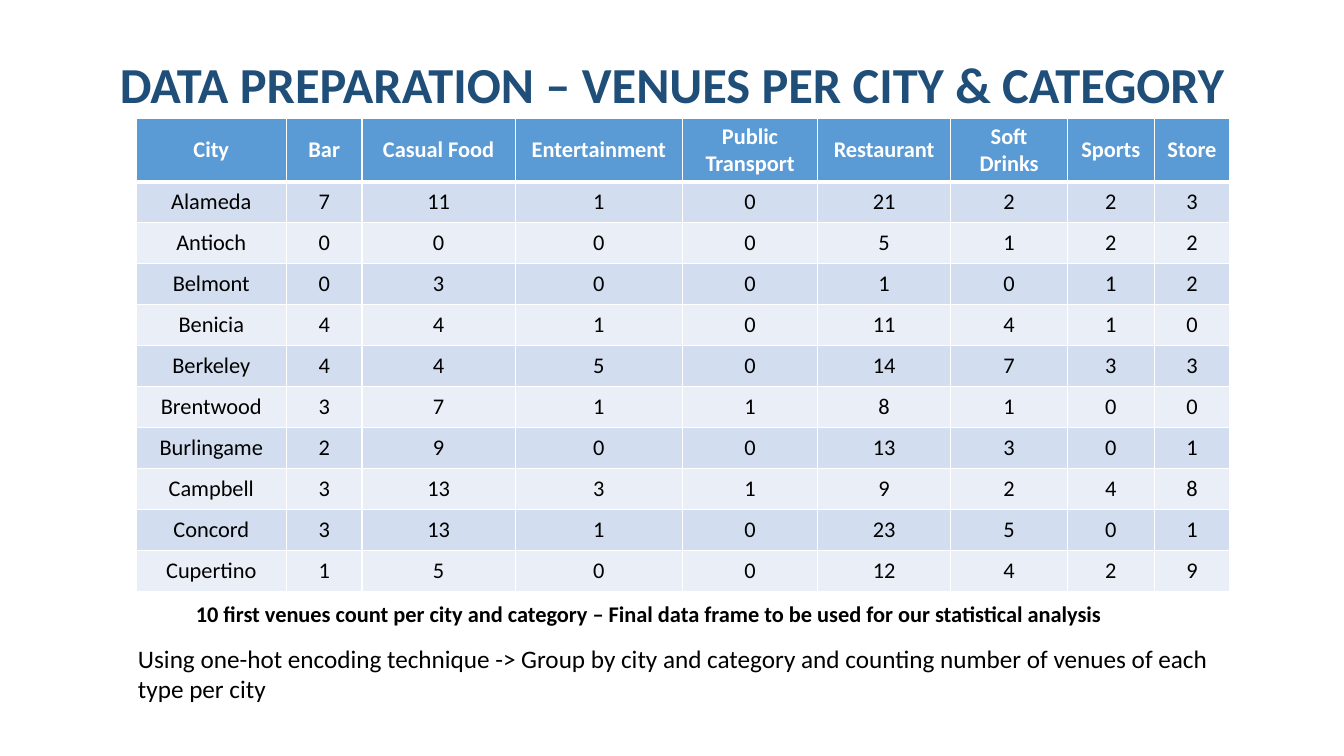
from lxml import etree
from pptx import Presentation
from pptx.dml.color import RGBColor
from pptx.enum.text import MSO_ANCHOR, PP_ALIGN
from pptx.oxml.ns import qn
from pptx.util import Inches, Pt

CENTER, LEFT = PP_ALIGN.CENTER, PP_ALIGN.LEFT
MIDDLE, TOP = MSO_ANCHOR.MIDDLE, MSO_ANCHOR.TOP

HEADERS = ["City", "Bar", "Casual Food", "Entertainment", "Public Transport",
           "Restaurant", "Soft Drinks", "Sports", "Store"]
VENUES = {
    "Alameda": [7, 11, 1, 0, 21, 2, 2, 3],
    "Antioch": [0, 0, 0, 0, 5, 1, 2, 2],
    "Belmont": [0, 3, 0, 0, 1, 0, 1, 2],
    "Benicia": [4, 4, 1, 0, 11, 4, 1, 0],
    "Berkeley": [4, 4, 5, 0, 14, 7, 3, 3],
    "Brentwood": [3, 7, 1, 1, 8, 1, 0, 0],
    "Burlingame": [2, 9, 0, 0, 13, 3, 0, 1],
    "Campbell": [3, 13, 3, 1, 9, 2, 4, 8],
    "Concord": [3, 13, 1, 0, 23, 5, 0, 1],
    "Cupertino": [1, 5, 0, 0, 12, 4, 2, 9],
}
COLUMN_WIDTHS = [11.18, 5.63, 11.4, 12.45, 10.05, 9.9, 8.7, 6.45, 5.63]
HEADER_HEIGHT, ROW_HEIGHT = 8.2, 5.42


def rgb(value):
    """Turn a hex string into a colour."""
    return RGBColor.from_string(value)


def write(tf, text, size=16, color="000000", bold=False, align=CENTER,
          spacing=1.0, font="Calibri"):
    """Write one formatted paragraph into a text frame."""
    p = tf.paragraphs[0]
    p.alignment, p.line_spacing = align, spacing
    r = p.add_run()
    r.text = text
    r.font.name, r.font.size, r.font.bold = font, Pt(size), bold
    r.font.color.rgb = rgb(color)


class Deck:
    """Hold the style and current slide; lengths are percentages of its size."""

    ACCENT, TITLE, WHITE = "5B9BD5", "1F4E79", "FFFFFF"
    BANDS = ["D2DEEF", "EAEFF7"]

    def __init__(self):
        """Start a widescreen presentation with one blank slide."""
        self.prs = Presentation()
        self.prs.slide_width, self.prs.slide_height = Inches(13.33), Inches(7.5)
        self.s = self.prs.slides.add_slide(self.prs.slide_layouts[6])

    def x(self, share):
        """Convert a percentage of the slide width."""
        return round(self.prs.slide_width * share / 100)

    def y(self, share):
        """Convert a percentage of the slide height."""
        return round(self.prs.slide_height * share / 100)

    def text(self, left, top, width, height, text, anchor=TOP, **style):
        """Add a wrapping text box."""
        sp = self.s.shapes.add_textbox(self.x(left), self.y(top),
                                       self.x(width), self.y(height))
        tf = sp.text_frame
        tf.word_wrap, tf.vertical_anchor = True, anchor
        write(tf, text, **style)

    def borders(self, cell, bottom):
        """Draw white cell borders with the given bottom width in points."""
        tc_pr = cell._tc.get_or_add_tcPr()
        for side, width in (("L", 1), ("R", 1), ("T", 1), ("B", bottom)):
            line = etree.SubElement(tc_pr, qn(f"a:ln{side}"), w=str(Pt(width)))
            fill = etree.SubElement(line, qn("a:solidFill"))
            etree.SubElement(fill, qn("a:srgbClr"), val=self.WHITE)

    def cell(self, cell, text, fill, bottom=1, **style):
        """Fill, outline and write one table cell."""
        self.borders(cell, bottom)
        cell.fill.solid()
        cell.fill.fore_color.rgb = rgb(fill)
        cell.vertical_anchor = MIDDLE
        write(cell.text_frame, text, **style)

    def table(self, left, top, widths, headers, records):
        """Add a table with a header row and alternating body bands."""
        heights = [HEADER_HEIGHT] + [ROW_HEIGHT] * len(records)
        table = self.s.shapes.add_table(
            len(heights), len(widths), self.x(left), self.y(top),
            self.x(sum(widths)), self.y(sum(heights))).table
        for column, width in zip(table.columns, widths):
            column.width = self.x(width)
        for row, height in zip(table.rows, heights):
            row.height = self.y(height)
        for j, header in enumerate(headers):
            self.cell(table.cell(0, j), header, self.ACCENT, bottom=3,
                      color=self.WHITE, bold=True)
        for i, (city, counts) in enumerate(records.items()):
            for j, value in enumerate([city, *counts]):
                self.cell(table.cell(i + 1, j), str(value), self.BANDS[i % 2])


def main():
    """Build and save the venue slide."""
    deck = Deck()
    deck.text(6.9, 5.33, 86.25, 12.4,
              "DATA PREPARATION – VENUES PER CITY & CATEGORY", anchor=MIDDLE,
              size=36, color=deck.TITLE, bold=True, spacing=0.9)
    deck.text(9.53, 84.4, 82.75, 9.5,
              "Using one-hot encoding technique -> Group by city and category "
              "and counting number of venues of each type per city",
              size=18, align=LEFT)
    deck.table(10.13, 15.6, COLUMN_WIDTHS, HEADERS, VENUES)
    deck.text(10.13, 78.67, 76.3, 4.93,
              "10 first venues count per city and category – Final data frame "
              "to be used for our statistical analysis", bold=True)
    deck.prs.save("out.pptx")


if __name__ == "__main__":
    main()
